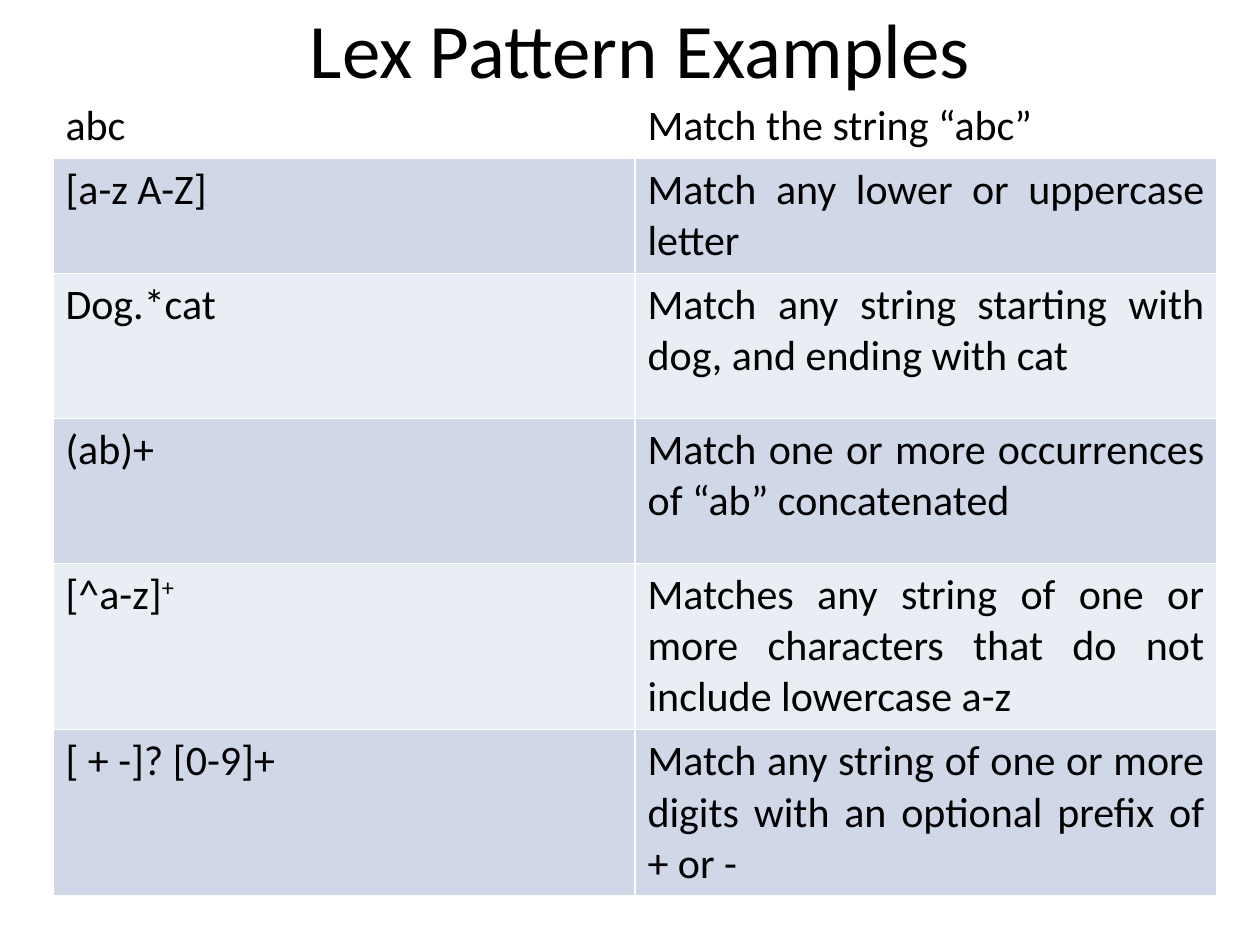
import pptx
import pptx.util
import pptx.dml.color
import pptx.enum.text
import lxml.etree

Inches = pptx.util.Inches
Pt = pptx.util.Pt
RGBColor = pptx.dml.color.RGBColor
ALIGN = pptx.enum.text.PP_ALIGN
ANCHOR = pptx.enum.text.MSO_ANCHOR

BLACK = RGBColor(0x00, 0x00, 0x00)
WHITE = RGBColor(0xFF, 0xFF, 0xFF)
BLUE = RGBColor(0xD0, 0xD8, 0xE8)
PALE = RGBColor(0xE9, 0xED, 0xF4)
NS = "http://schemas.openxmlformats.org/drawingml/2006/main"


def add_run(para, text, size):
    run = para.add_run()
    run.text = text
    run.font.name = "Calibri"
    run.font.size = Pt(size)
    run.font.bold = False
    run.font.color.rgb = BLACK
    return run


def add_lines(cell, color):
    props = cell._tc.get_or_add_tcPr()
    for side in ("lnL", "lnR", "lnT", "lnB"):
        line = lxml.etree.SubElement(props, f"{{{NS}}}{side}", w=str(Pt(1)))
        fill = lxml.etree.SubElement(line, f"{{{NS}}}solidFill")
        lxml.etree.SubElement(fill, f"{{{NS}}}srgbClr", val=str(color))


deck = pptx.Presentation()
deck.slide_width = Inches(10)
deck.slide_height = Inches(7.5)
slide = deck.slides.add_slide(deck.slide_layouts[5])

# Title
title = slide.shapes.title
title.left, title.top = Inches(0.58), Inches(-0.25)
title.width, title.height = Inches(9), Inches(1.25)
frame = title.text_frame
frame.word_wrap = True
frame.vertical_anchor = ANCHOR.MIDDLE
para = frame.paragraphs[0]
para.alignment = ALIGN.CENTER
add_run(para, "Lex Pattern Examples", 44)

# Pattern, superscript, meaning, row height
rows = [
    ("abc", "", "Match the string “abc”", 0.46),
    ("[a-z A-Z]", "", "Match any lower or uppercase letter", 0.79),
    ("Dog.*cat", "", "Match any string starting with dog, and ending with cat", 1.15),
    ("(ab)+", "", "Match one or more occurrences of “ab” concatenated", 1.15),
    ("[^a-z]", "+", "Matches any string of one or more characters "
     "that do not include lowercase a-z", 1.15),
    ("[ + -]? [0-9]+", "", "Match any string of one or more digits "
     "with an optional prefix of + or -", 1.15),
]

# Table of patterns
table = slide.shapes.add_table(
    len(rows), 2, Inches(0.42), Inches(0.75), Inches(9.25), Inches(5.85)
).table
table.first_row = False
table.horz_banding = False
for col in table.columns:
    col.width = Inches(4.62)

for i, (code, power, note, height) in enumerate(rows):
    table.rows[i].height = Inches(height)
    left, right = table.cell(i, 0), table.cell(i, 1)
    for cell in (left, right):
        add_lines(cell, WHITE)
        cell.fill.solid()
        cell.fill.fore_color.rgb = WHITE if i == 0 else (PALE, BLUE)[i % 2]
    para = left.text_frame.paragraphs[0]
    add_run(para, code, 24)
    if power:
        run = add_run(para, power, 24)
        run._r.get_or_add_rPr().set("baseline", "30000")
    para = right.text_frame.paragraphs[0]
    para.alignment = ALIGN.JUSTIFY
    add_run(para, note, 24)

deck.save("out.pptx")
